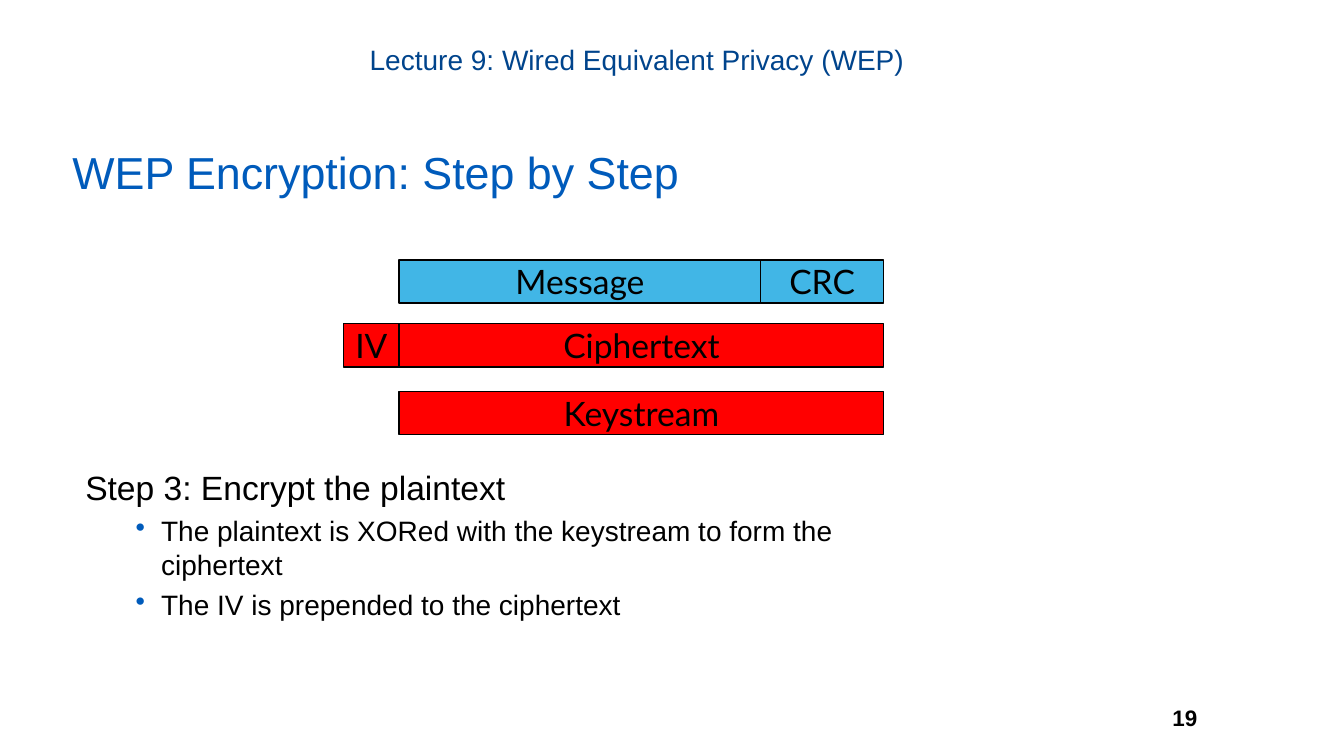
"""Build the slide on encrypting the plaintext in WEP."""
from lxml import etree
from pptx import Presentation
from pptx.dml.color import RGBColor
from pptx.enum.shapes import MSO_SHAPE
from pptx.enum.text import MSO_ANCHOR, MSO_AUTO_SIZE, PP_ALIGN
from pptx.oxml.ns import qn
from pptx.util import Cm, Pt

BLACK = RGBColor(0x00, 0x00, 0x00)
NAVY = RGBColor(0x00, 0x44, 0x8C)
BLUE = RGBColor(0x00, 0x5B, 0xBB)
SKY = RGBColor(0x41, 0xB6, 0xE6)
RED = RGBColor(0xFF, 0x00, 0x00)
RECTANGLE = MSO_SHAPE.RECTANGLE
TOP, MIDDLE = MSO_ANCHOR.TOP, MSO_ANCHOR.MIDDLE
LEFT, CENTER, RIGHT = PP_ALIGN.LEFT, PP_ALIGN.CENTER, PP_ALIGN.RIGHT
NO_AUTOFIT = MSO_AUTO_SIZE.NONE


def format_paragraph(para, size, color, align=LEFT, font="Arial", bold=False):
    para.alignment = align
    for span in para.runs:
        span.font.name = font
        span.font.size = Pt(size)
        span.font.color.rgb = color
        span.font.bold = bold


def add_text(left, top, width, height, text):
    box = slide.shapes.add_textbox(Cm(left), Cm(top), Cm(width), Cm(height))
    box.text_frame.word_wrap = True
    box.text_frame.text = text
    return box.text_frame


deck = Presentation()
deck.slide_width, deck.slide_height = Cm(33.87), Cm(19.05)
slide = deck.slides.add_slide(deck.slide_layouts[5])

title = slide.shapes.title
title.left, title.top, title.width, title.height = Cm(1.57), Cm(3.66), Cm(29.21), Cm(2.41)
title.text_frame.text = "WEP Encryption: Step by Step"
title.text_frame.vertical_anchor = TOP
title.text_frame.auto_size = NO_AUTOFIT
title.text_frame.paragraphs[0].line_spacing = 0.9
format_paragraph(title.text_frame.paragraphs[0], 32, BLUE)

header = add_text(6.96, 0.94, 18.44, 0.94, "Lecture 9: Wired Equivalent Privacy (WEP)")
header.margin_left = 0
format_paragraph(header.paragraphs[0], 20, NAVY, CENTER)

number = add_text(28.5, 17.35, 2, 1.47, "19")
number.vertical_anchor = MIDDLE
number.margin_left = number.margin_right = Cm(0.33)
number.margin_top = number.margin_bottom = Cm(0.18)
format_paragraph(number.paragraphs[0], 16, BLACK, RIGHT, bold=True)

steps = add_text(1.9, 11.63, 21.59, 5.31, "Step 3: Encrypt the plaintext")
format_paragraph(steps.paragraphs[0], 24, BLACK)
for point in (
    "The plaintext is XORed with the keystream to form the ciphertext",
    "The IV is prepended to the ciphertext",
):
    para = steps.add_paragraph()
    para.text = point
    para.level = 1
    para.space_before = Pt(5)
    properties = para._p.get_or_add_pPr()
    properties.set("marL", str(Cm(1.91)))
    properties.set("indent", str(-Cm(0.64)))
    bullet_color = etree.SubElement(properties, qn("a:buClr"))
    etree.SubElement(bullet_color, qn("a:srgbClr"), val=str(BLUE))
    etree.SubElement(properties, qn("a:buChar"), char="•")
    format_paragraph(para, 20, BLACK)

for label, left, top, width, color in (
    ("Message", 10.06, 6.55, 9.11, SKY),
    ("CRC", 19.17, 6.55, 3.1, SKY),
    ("Keystream", 10.06, 9.86, 12.21, RED),
    ("Ciphertext", 10.06, 8.16, 12.21, RED),
    ("IV", 8.66, 8.16, 1.4, RED),
):
    field = slide.shapes.add_shape(RECTANGLE, Cm(left), Cm(top), Cm(width), Cm(1.09))
    field.shadow.inherit = False
    field.fill.solid()
    field.fill.fore_color.rgb = color
    field.line.color.rgb = BLACK
    field.line.width = Pt(1)
    field.text_frame.text = label
    field.text_frame.word_wrap = False
    field.text_frame.vertical_anchor = MIDDLE
    format_paragraph(field.text_frame.paragraphs[0], 24, BLACK, CENTER, "Lato")

deck.save("out.pptx")
